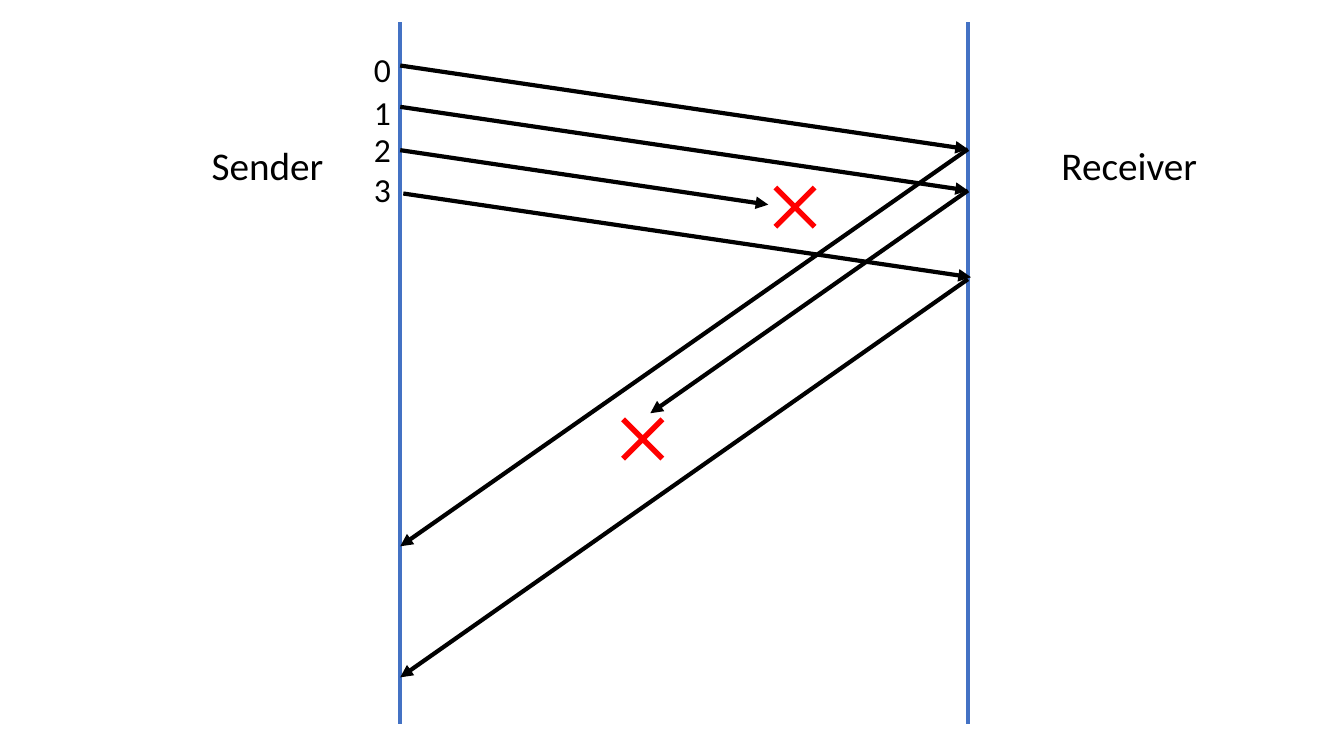
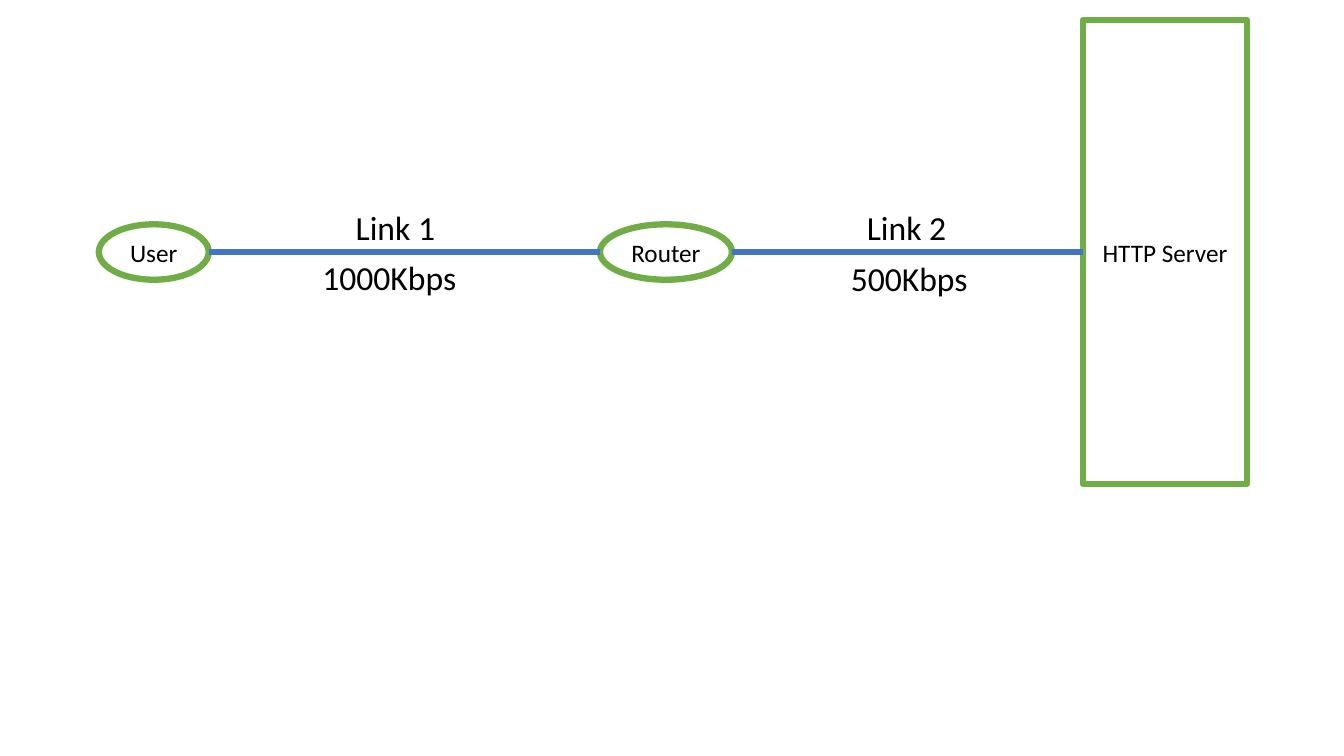
from pptx import Presentation
from pptx.dml.color import RGBColor
from pptx.enum import shapes, text
from pptx.oxml.ns import qn
from pptx.util import Inches, Pt
from lxml import etree

BLACK = RGBColor(0x00, 0x00, 0x00)
WHITE = RGBColor(0xFF, 0xFF, 0xFF)
BLUE = RGBColor(0x44, 0x72, 0xC4)
GREEN = RGBColor(0x70, 0xAD, 0x47)
RED = RGBColor(0xFF, 0x00, 0x00)
FONT = "Calibri"

SENDER_X, RECEIVER_X = 3.97, 9.6
LINK_Y = 2.5


def write_text(shape, content, size=24, color=BLACK, align=None):
    """Put one formatted paragraph into a shape."""
    paragraph = shape.text_frame.paragraphs[0]
    if align is not None:
        paragraph.alignment = align
    run = paragraph.add_run()
    run.text = content
    run.font.name = FONT
    run.font.size = Pt(size)
    run.font.color.rgb = color


def add_label(slide, content, left, top, width, height=0.5, **text_format):
    """Add an unwrapped text box that fits its text."""
    box = slide.shapes.add_textbox(
        Inches(left), Inches(top), Inches(width), Inches(height))
    box.text_frame.word_wrap = False
    box.text_frame.auto_size = text.MSO_AUTO_SIZE.SHAPE_TO_FIT_TEXT
    write_text(box, content, **text_format)


def add_line(slide, start, end, color=BLACK, width=3, arrow=False):
    """Draw a straight line between two points, with an optional arrowhead."""
    line = slide.shapes.add_connector(
        shapes.MSO_CONNECTOR.STRAIGHT, *map(Inches, (*start, *end)))
    line.line.color.rgb = color
    line.line.width = Pt(width)
    properties = line._element.spPr
    if arrow:
        outline = properties.find(qn("a:ln"))
        etree.SubElement(outline, qn("a:tailEnd"), type="triangle")
    etree.SubElement(properties, qn("a:effectLst"))


def add_shape(slide, kind, left, top, width, height, fill):
    """Add a flat preset shape without an outline."""
    shape = slide.shapes.add_shape(
        kind, Inches(left), Inches(top), Inches(width), Inches(height))
    shape.shadow.inherit = False
    shape.fill.solid()
    shape.fill.fore_color.rgb = fill
    shape.line.fill.background()
    return shape


def add_loss_mark(slide, left, top):
    """Mark a lost packet with a red cross."""
    cross = add_shape(slide, shapes.MSO_SHAPE.MATH_MULTIPLY,
                      left, top, 0.75, 0.75, RED)
    cross.adjustments[0] = 0.071


def add_node(slide, name, kind, left, width, height):
    """Add a named network node centred on the link line."""
    node = add_shape(slide, kind, left, LINK_Y - height / 2,
                     width, height, WHITE)
    node.line.color.rgb = GREEN
    node.line.width = Pt(4.5)
    node.text_frame.vertical_anchor = text.MSO_ANCHOR.MIDDLE
    write_text(node, name, size=18, align=text.PP_ALIGN.CENTER)


def build_packet_exchange(slide):
    """Show packets and acknowledgements between sender and receiver."""
    for x in (SENDER_X, RECEIVER_X):
        add_line(slide, (x, 0.22), (x, 7.18), color=BLUE)

    packets = [
        ((SENDER_X, 0.65), (RECEIVER_X, 1.48)),
        ((SENDER_X, 1.06), (RECEIVER_X, 1.89)),
        ((SENDER_X, 1.49), (7.62, 2.03)),
        ((4, 1.92), (9.63, 2.75)),
    ]
    acknowledgements = [
        ((RECEIVER_X, 1.48), (SENDER_X, 5.42)),
        ((RECEIVER_X, 1.89), (6.45, 4.1)),
        ((RECEIVER_X, 2.77), (SENDER_X, 6.72)),
    ]
    for start, end in packets + acknowledgements:
        add_line(slide, start, end, arrow=True)

    add_label(slide, "Sender", 2, 1.35, 1.32, 0.57, size=28)
    add_label(slide, "Receiver", 10.43, 1.35, 1.56, 0.57, size=28)
    add_loss_mark(slide, 7.51, 1.68)
    add_loss_mark(slide, 6, 3.98)
    for number, top in enumerate((0.44, 0.86, 1.23, 1.63)):
        add_label(slide, str(number), 3.61, top, 0.37)


def build_network(slide):
    """Show the user, router and server joined by two links."""
    oval, rectangle = shapes.MSO_SHAPE.OVAL, shapes.MSO_SHAPE.RECTANGLE
    nodes = [
        ("User", oval, 0.98, 1.09, 0.55),
        ("Router", oval, 5.95, 1.31, 0.55),
        ("HTTP Server", rectangle, 10.74, 1.63, 4.6),
    ]
    for node in nodes:
        add_node(slide, *node)
    for (_, _, left, width, _), following in zip(nodes, nodes[1:]):
        add_line(slide, (left + width, LINK_Y), (following[2], LINK_Y),
                 color=BLUE, width=4.5)

    add_label(slide, "1000Kbps", 3.1, 2.5, 1.54)
    add_label(slide, "500Kbps", 8.34, 2.51, 1.37)
    add_label(slide, "Link 2", 8.5, 2, 1)
    add_label(slide, "Link 1", 3.43, 2, 1)


def main():
    """Build and save the presentation."""
    presentation = Presentation()
    presentation.slide_width = Inches(13.33)
    presentation.slide_height = Inches(7.5)
    blank = presentation.slide_layouts[6]
    for build in (build_packet_exchange, build_network):
        build(presentation.slides.add_slide(blank))
    presentation.save("out.pptx")


main()
